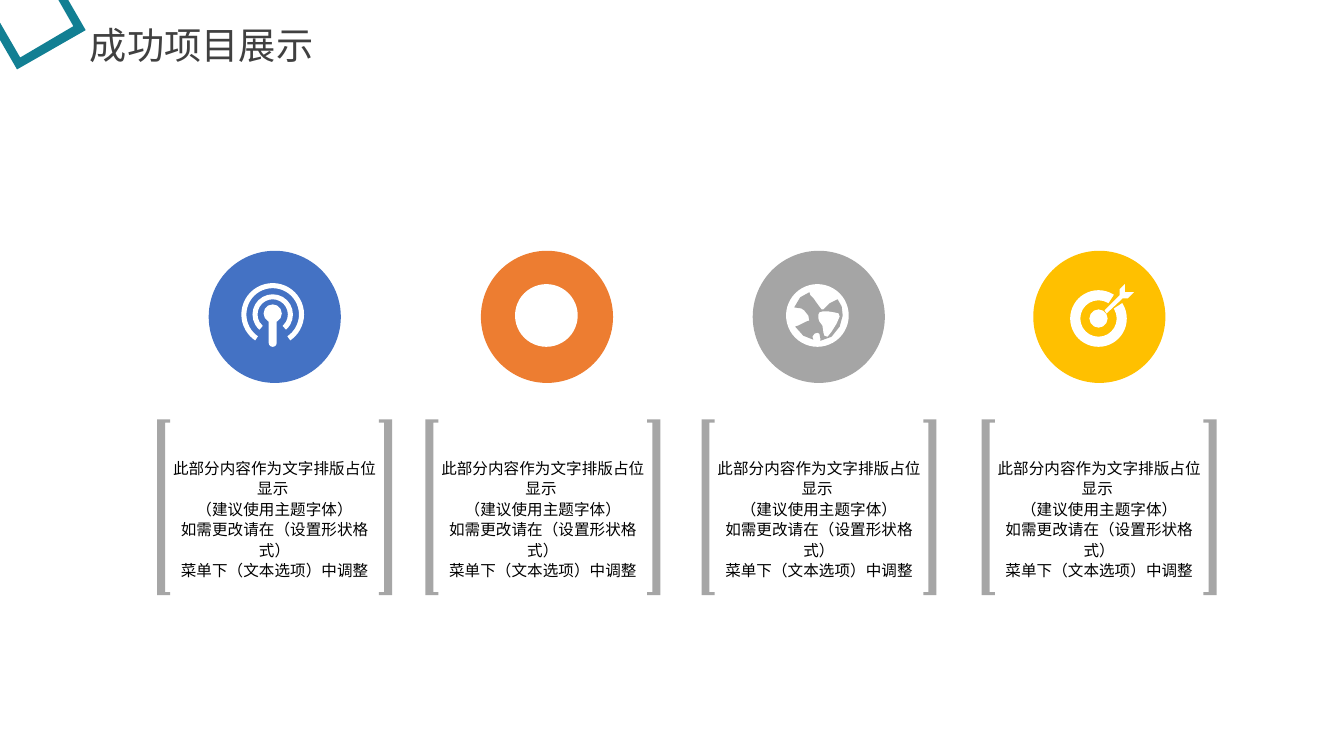
from lxml.etree import SubElement
from pptx import Presentation
from pptx.dml.color import RGBColor
from pptx.enum.shapes import MSO_SHAPE
from pptx.enum.text import MSO_ANCHOR, PP_ALIGN
from pptx.oxml.ns import qn
from pptx.util import Cm, Pt

FONT = "Noto Sans CJK SC"
COLORS = {
    "blue": "4472C4", "orange": "ED7D31", "gray": "A5A5A5", "yellow": "FFC000",
    "bracket": "A6A6A6", "white": "FFFFFF", "teal": "127F93",
    "title": "404040", "body": "000000",
}
BODY_LINES = (
    "此部分内容作为文字排版占位显示 ",
    "（建议使用主题字体）",
    "如需更改请在（设置形状格式）",
    "菜单下（文本选项）中调整",
)
CIRCLE_TOP, CIRCLE_SIZE = 6.32, 3.33
ICON_TOP, ICON_SIZE = 7.16, 1.58
ICON_GRID = 62  # icon coordinates run from 0 to 62
BRACKET_TOP, BRACKET_HEIGHT, BRACKETS_WIDTH = 10.57, 4.43, 5.92

OCEAN = [(34, 56), (34, 54), (33, 49), (31, 48), (28, 49), (26, 52), (27, 55),
         (17, 51), (9, 42), (12, 41), (20, 37), (23, 36), (22, 31), (18, 26),
         (15, 24), (8, 23), (14, 13), (23, 8), (24, 11), (27, 14), (32, 21),
         (35, 25), (37, 25), (39, 23), (43, 19), (47, 17), (51, 15), (55, 22),
         (56, 31), (53, 42), (45, 52)]
CONTINENT = [(48, 28), (42, 27), (36, 27), (33, 28), (32, 30), (32, 34), (33, 37),
             (36, 41), (37, 48), (38, 51), (41, 52), (45, 47), (50, 39), (53, 32),
             (52, 29)]
ARROW = [(54, 8), (54, 0), (49, 5), (49, 11), (34, 26), (36, 29), (52, 14),
         (57, 14), (63, 8)]


def paint(shape, color):
    shape.shadow.inherit = False
    shape.fill.solid()
    shape.fill.fore_color.rgb = RGBColor.from_string(COLORS[color])
    shape.line.fill.background()
    return shape


def add_preset(shapes, kind, left, top, width, height, color):
    return paint(shapes.add_shape(kind, Cm(left), Cm(top), Cm(width), Cm(height)), color)


def add_outline(shapes, left, top, contours, color, unit=0.01):
    """Draw closed contours whose points count in units (cm) from left, top."""
    builder = shapes.build_freeform(*contours[0][0], scale=float(Cm(unit)))
    builder.add_line_segments(contours[0][1:], close=True)
    for contour in contours[1:]:
        builder.move_to(*contour[0])
        builder.add_line_segments(contour[1:], close=True)
    return paint(builder.convert_to_shape(Cm(left), Cm(top)), color)


def add_run(paragraph, text, size, color):
    run = paragraph.add_run()
    run.text = text
    run.font.size = Pt(size)
    run.font.name = FONT
    run.font.color.rgb = RGBColor.from_string(COLORS[color])
    SubElement(run.font._element, qn("a:ea"), typeface=FONT)


class Icon:
    """White symbol drawn on a 62-unit grid at a given place."""

    def __init__(self, shapes, left, top, size):
        self.shapes, self.left, self.top = shapes, left, top
        self.unit = size / ICON_GRID

    def preset(self, kind, x, y, width, height):
        return add_preset(self.shapes, kind, self.left + x * self.unit,
                          self.top + y * self.unit, width * self.unit,
                          height * self.unit, "white")

    def disc(self, x, y, radius):
        self.preset(MSO_SHAPE.OVAL, x - radius, y - radius, 2 * radius, 2 * radius)

    def arc(self, x, y, radius, thickness, start, end):
        """Ring going clockwise between two angles in degrees."""
        ring = self.preset(MSO_SHAPE.BLOCK_ARC, x - radius, y - radius,
                           2 * radius, 2 * radius)
        ring.adjustments[0] = start * 0.6
        ring.adjustments[1] = end * 0.6
        ring.adjustments[2] = thickness / (2 * radius)

    def outline(self, points, color="white"):
        add_outline(self.shapes, self.left, self.top, [points], color, self.unit)


def draw_broadcast(icon):
    icon.arc(31.5, 30, 31, 5, 124, 56)
    icon.arc(31.5, 30, 20, 5, 131, 49)
    icon.disc(31.5, 29, 9)
    stem = icon.preset(MSO_SHAPE.ROUNDED_RECTANGLE, 27.5, 30, 8, 32)
    stem.adjustments[0] = 0.5


def draw_disc(icon):
    icon.disc(31, 31, 31)


def draw_globe(icon):
    draw_disc(icon)
    icon.outline(OCEAN, "gray")
    icon.outline(CONTINENT)


def draw_target(icon):
    icon.arc(28, 34, 28, 10, 327, 303)
    icon.disc(28, 34, 9)
    icon.outline(ARROW)


def add_brackets(shapes, left, top, width, height):
    stroke, lip, reach = 20, 8, 33
    right, bottom = round(width * 100), round(height * 100)
    opening = [(0, 0), (reach, 0), (reach, lip), (stroke, lip),
               (stroke, bottom - lip), (reach, bottom - lip),
               (reach, bottom), (0, bottom)]
    closing = [(right - x, y) for x, y in opening]
    for bracket in (opening, closing):
        add_outline(shapes, left, top, [bracket], "bracket")


def add_body(shapes, left, top, width, height):
    frame = shapes.add_textbox(Cm(left), Cm(top), Cm(width), Cm(height)).text_frame
    frame.word_wrap = True
    frame.margin_left = frame.margin_right = frame.margin_top = frame.margin_bottom = 0
    paragraph = frame.paragraphs[0]
    paragraph.alignment = PP_ALIGN.CENTER
    paragraph.line_spacing = 1.1
    for index, line in enumerate(BODY_LINES):
        if index:
            paragraph.add_line_break()
        add_run(paragraph, line, 11.1, "body")


def add_project(slide, left, circle_left, icon_left, color, draw_icon):
    shapes = slide.shapes.add_group_shape().shapes
    add_preset(shapes, MSO_SHAPE.OVAL, circle_left, CIRCLE_TOP,
               CIRCLE_SIZE, CIRCLE_SIZE, color)
    add_brackets(shapes, left, BRACKET_TOP, BRACKETS_WIDTH, BRACKET_HEIGHT)
    add_body(shapes, left + 0.24, BRACKET_TOP + 0.94, 5.44, 2.57)
    draw_icon(Icon(shapes, icon_left, ICON_TOP, ICON_SIZE))


def add_header(slide, left, top, width, height):
    title = slide.shapes.title
    title.left, title.top, title.width, title.height = map(Cm, (left, top, width, height))
    frame = title.text_frame
    frame.vertical_anchor = MSO_ANCHOR.MIDDLE
    paragraph = frame.paragraphs[0]
    paragraph.alignment = PP_ALIGN.LEFT
    add_run(paragraph, "成功项目展示", 26.6, "title")
    outer = [(-64, -10), (109, -109), (216, 76), (43, 175)]
    inner = [(-33, 0), (51, 145), (185, 66), (102, -79)]
    add_outline(slide.shapes, 0, 0, [outer, inner], "teal")


def main():
    presentation = Presentation()
    presentation.slide_width, presentation.slide_height = Cm(33.87), Cm(19.05)
    slide = presentation.slides.add_slide(presentation.slide_layouts[5])
    projects = (
        (3.96, 5.26, 6.07, "blue", draw_broadcast),
        (10.72, 12.12, 12.98, "orange", draw_disc),
        (17.68, 18.97, 19.81, "gray", draw_globe),
        (24.74, 26.04, 26.97, "yellow", draw_target),
    )
    for project in projects:
        add_project(slide, *project)
    add_header(slide, 2.01, 0.43, 7.92, 1.4)
    presentation.save("out.pptx")


if __name__ == "__main__":
    main()
